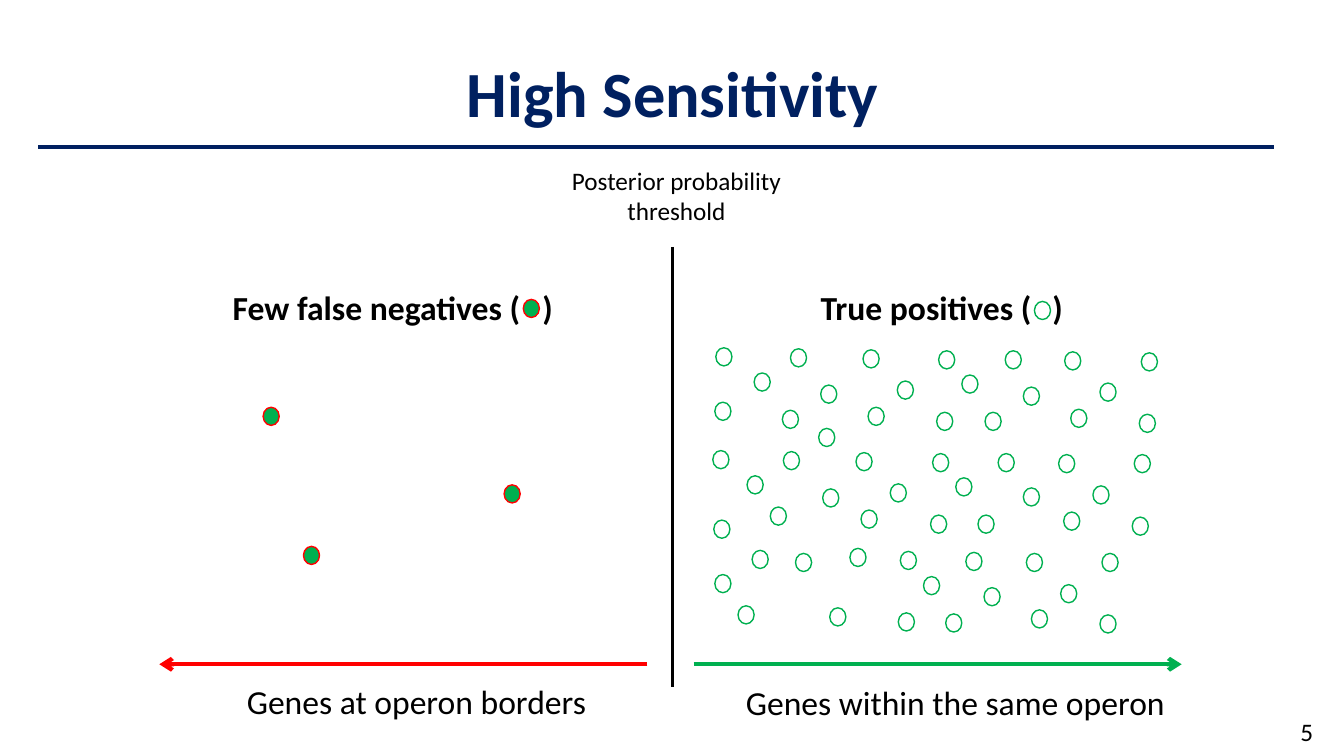
import dataclasses

import lxml.etree
import pptx
import pptx.dml.color
import pptx.enum.shapes
import pptx.enum.text
import pptx.oxml.ns
import pptx.util

WIDTH, HEIGHT = pptx.util.Inches(13.33), pptx.util.Inches(7.5)
COLUMNS, ROWS = 13.33, 7.5
DOT_SIZE = (0.16, 0.18)
ARROW_ROW = 6.59
CENTER = pptx.enum.text.PP_ALIGN.CENTER
MIDDLE = pptx.enum.text.MSO_ANCHOR.MIDDLE


@dataclasses.dataclass(frozen=True)
class Theme:
    font: str = "Calibri"
    navy: str = "002060"
    black: str = "000000"
    green: str = "00B050"
    red: str = "FF0000"
    title: int = 46
    label: int = 24
    note: int = 18
    rule: float = 3
    threshold: float = 2.25
    outline: float = 1


THEME = Theme()

FALSE_NEGATIVES = [(2.61, 4.04), (3.01, 5.42), (5, 4.81), (5.19, 2.97)]

TRUE_POSITIVES = [
    (7.48, 3.7), (7.84, 3.46), (8.14, 3.82), (8.56, 3.47), (8.9, 3.78),
    (8.61, 4.04), (9.29, 4.09), (9.31, 3.48), (9.54, 3.72), (9.77, 4.09),
    (9.97, 3.48), (10.15, 3.84), (10.56, 3.49), (10.91, 3.8), (10.62, 4.06),
    (11.3, 4.11), (11.32, 3.5), (7.41, 4.72), (7.64, 5.03), (7.77, 4.48),
    (8.12, 4.25), (8.49, 4.49), (8.83, 4.8), (8.54, 5.06), (9.23, 5.11),
    (9.25, 4.5), (9.48, 4.74), (9.7, 5.11), (9.9, 4.5), (10.5, 4.51),
    (10.84, 4.82), (10.55, 5.08), (11.23, 5.13), (11.25, 4.51), (7.09, 5.7),
    (7.32, 6.01), (7.46, 5.46), (7.89, 5.49), (8.43, 5.44), (8.23, 6.03),
    (8.91, 6.08), (8.93, 5.47), (9.16, 5.72), (9.38, 6.09), (9.58, 5.48),
    (9.76, 5.83), (10.18, 5.49), (10.52, 5.8), (10.23, 6.05), (10.91, 6.1),
    (10.93, 5.49), (7.08, 5.16), (7.07, 4.47), (7.09, 3.99), (7.1, 3.45),
    (7.76, 4.07), (8.16, 4.85), (10.15, 4.84), (10.26, 2.99),
]


def across(columns):
    return round(WIDTH * columns / COLUMNS)


def down(rows):
    return round(HEIGHT * rows / ROWS)


def place(left, top, width, height):
    return across(left), down(top), across(width), down(height)


def color(value):
    return pptx.dml.color.RGBColor.from_string(value)


def apply(target, values):
    for name, value in values.items():
        setattr(target, name, value)


def add_element(parent, tag, **attributes):
    return lxml.etree.SubElement(parent, pptx.oxml.ns.qn(tag), attributes)


def add_text(page, area, text, size, shade=THEME.black, bold=False,
             para_format=None, frame_format=None, tab=None):
    frame = page.shapes.add_textbox(*place(*area)).text_frame
    apply(frame, {"word_wrap": True, **(frame_format or {})})
    para = frame.paragraphs[0]
    if tab is not None:
        stops = add_element(para._p.get_or_add_pPr(), "a:tabLst")
        add_element(stops, "a:tab", pos=str(across(tab)), algn="l")
    apply(para, para_format or {})
    span = para.add_run()
    span.text = text
    apply(span.font, {"name": THEME.font, "size": pptx.util.Pt(size), "bold": bold})
    span.font.color.rgb = color(shade)


def add_line(page, start, end, shade, weight, arrow=False):
    line = page.shapes.add_connector(
        pptx.enum.shapes.MSO_CONNECTOR.STRAIGHT,
        across(start[0]), down(start[1]), across(end[0]), down(end[1]))
    line.line.color.rgb = color(shade)
    line.line.width = pptx.util.Pt(weight)
    properties = line._element.spPr
    if arrow:
        add_element(properties.find(pptx.oxml.ns.qn("a:ln")), "a:tailEnd", type="arrow")
    add_element(properties, "a:effectLst")


def add_dots(page, spots, outline, fill=None):
    for spot in spots:
        dot = page.shapes.add_shape(
            pptx.enum.shapes.MSO_SHAPE.OVAL, *place(*spot, *DOT_SIZE))
        dot.shadow.inherit = False
        if fill:
            dot.fill.solid()
            dot.fill.fore_color.rgb = color(fill)
        else:
            dot.fill.background()
        dot.line.color.rgb = color(outline)
        dot.line.width = pptx.util.Pt(THEME.outline)


def main():
    deck = pptx.Presentation()
    apply(deck, {"slide_width": WIDTH, "slide_height": HEIGHT})
    page = deck.slides.add_slide(deck.slide_layouts[6])

    add_text(page, (0.92, 0.23, 11.5, 1.45), "High Sensitivity", THEME.title,
             THEME.navy, True, {"alignment": CENTER, "line_spacing": 0.9},
             {"vertical_anchor": MIDDLE})
    add_line(page, (0.38, 1.46), (12.64, 1.46), THEME.navy, THEME.rule)
    add_text(page, (12.8, 7.06, 0.33, 0.4), "5", THEME.note)

    add_dots(page, FALSE_NEGATIVES, THEME.red, THEME.green)
    add_dots(page, TRUE_POSITIVES, THEME.green)

    add_text(page, (5.36, 1.59, 2.7, 0.71), "Posterior probability threshold",
             THEME.note, para_format={"alignment": CENTER})
    add_line(page, (6.67, 2.45), (6.67, 6.82), THEME.black, THEME.threshold)

    add_text(page, (2.21, 2.8, 3.49, 0.5), "Few false negatives (\t)",
             THEME.label, bold=True, tab=3.07)
    add_text(page, (8.04, 2.8, 2.65, 0.5), "True positives (\t)",
             THEME.label, bold=True, tab=2.3)
    add_text(page, (2.35, 6.71, 3.6, 0.5), "Genes at operon borders", THEME.label)
    add_text(page, (7.3, 6.72, 4.4, 0.5), "Genes within the same operon", THEME.label)

    for start, end, shade in [(6.88, 11.72, THEME.green), (6.42, 1.58, THEME.red)]:
        add_line(page, (start, ARROW_ROW), (end, ARROW_ROW), shade, THEME.rule, True)

    deck.save("out.pptx")


if __name__ == "__main__":
    main()
